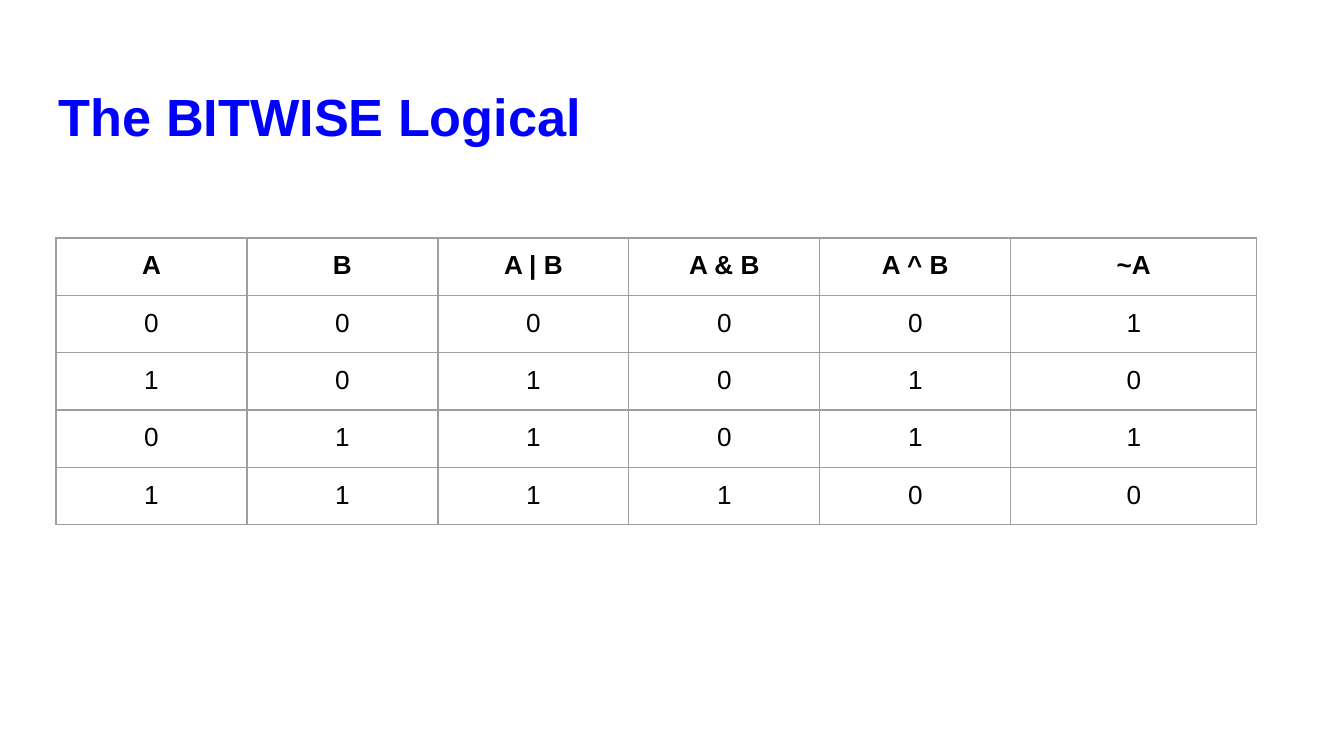
from lxml.etree import SubElement
from pptx import Presentation
from pptx.dml.color import RGBColor
from pptx.enum.text import MSO_ANCHOR, PP_ALIGN
from pptx.oxml.ns import qn
from pptx.util import Pt

EMU_PER_PIXEL = 914400 / 134.4
BLUE = RGBColor(0x00, 0x00, 0xFF)
BLACK = RGBColor(0x00, 0x00, 0x00)
GREY = RGBColor(0x9E, 0x9E, 0x9E)


def px(pixels):
    return round(pixels * EMU_PER_PIXEL)


class SlideBuilder:
    font_name = "Arial"
    inset = 13
    border_width = Pt(0.75)

    def __init__(self, slide):
        self.slide = slide

    def style(self, paragraph, size, color, bold=False, align=PP_ALIGN.LEFT):
        paragraph.alignment = align
        font = paragraph.font
        font.name = self.font_name
        font.size = Pt(size)
        font.bold = bold
        font.color.rgb = color

    def title(self, text, left, top, width, height):
        shape = self.slide.shapes.add_textbox(px(left), px(top), px(width), px(height))
        frame = shape.text_frame
        frame.word_wrap = True
        frame.margin_left = frame.margin_right = frame.margin_bottom = px(self.inset)
        frame.margin_top = px(18)
        frame.text = text
        self.style(frame.paragraphs[0], 28, BLUE, bold=True)

    def table(self, rows, left, top, column_widths, row_height):
        shape = self.slide.shapes.add_table(
            len(rows), len(column_widths), px(left), px(top),
            px(sum(column_widths)), px(row_height * len(rows)))
        table = shape.table
        table.first_row = table.horz_banding = False
        for column, width in zip(table.columns, column_widths):
            column.width = px(width)
        for row_index, values in enumerate(rows):
            table.rows[row_index].height = px(row_height)
            for column_index, value in enumerate(values):
                self.cell(table.cell(row_index, column_index), str(value), row_index == 0)

    def cell(self, cell, text, bold):
        cell.text = text
        cell.margin_left = cell.margin_right = px(self.inset)
        cell.margin_top = cell.margin_bottom = px(self.inset)
        cell.vertical_anchor = MSO_ANCHOR.TOP
        self.style(cell.text_frame.paragraphs[0], 14, BLACK, bold, PP_ALIGN.CENTER)
        properties = cell._tc.get_or_add_tcPr()
        for side in ("lnL", "lnR", "lnT", "lnB"):
            line = SubElement(properties, qn(f"a:{side}"), w=str(self.border_width))
            fill = SubElement(line, qn("a:solidFill"))
            SubElement(fill, qn("a:srgbClr"), val=str(GREY))
        cell.fill.background()


presentation = Presentation()
presentation.slide_width = px(1344)
presentation.slide_height = px(756)
builder = SlideBuilder(presentation.slides.add_slide(presentation.slide_layouts[6]))

builder.title("The BITWISE Logical", 46, 66, 1252, 85)

header = ["A", "B", "A | B", "A & B", "A ^ B", "~A"]
truth_rows = [[a, b, a | b, a & b, a ^ b, 1 - a] for b in (0, 1) for a in (0, 1)]
builder.table([header] + truth_rows, 56, 238, [191] * 5 + [246], 56)

presentation.save("out.pptx")
